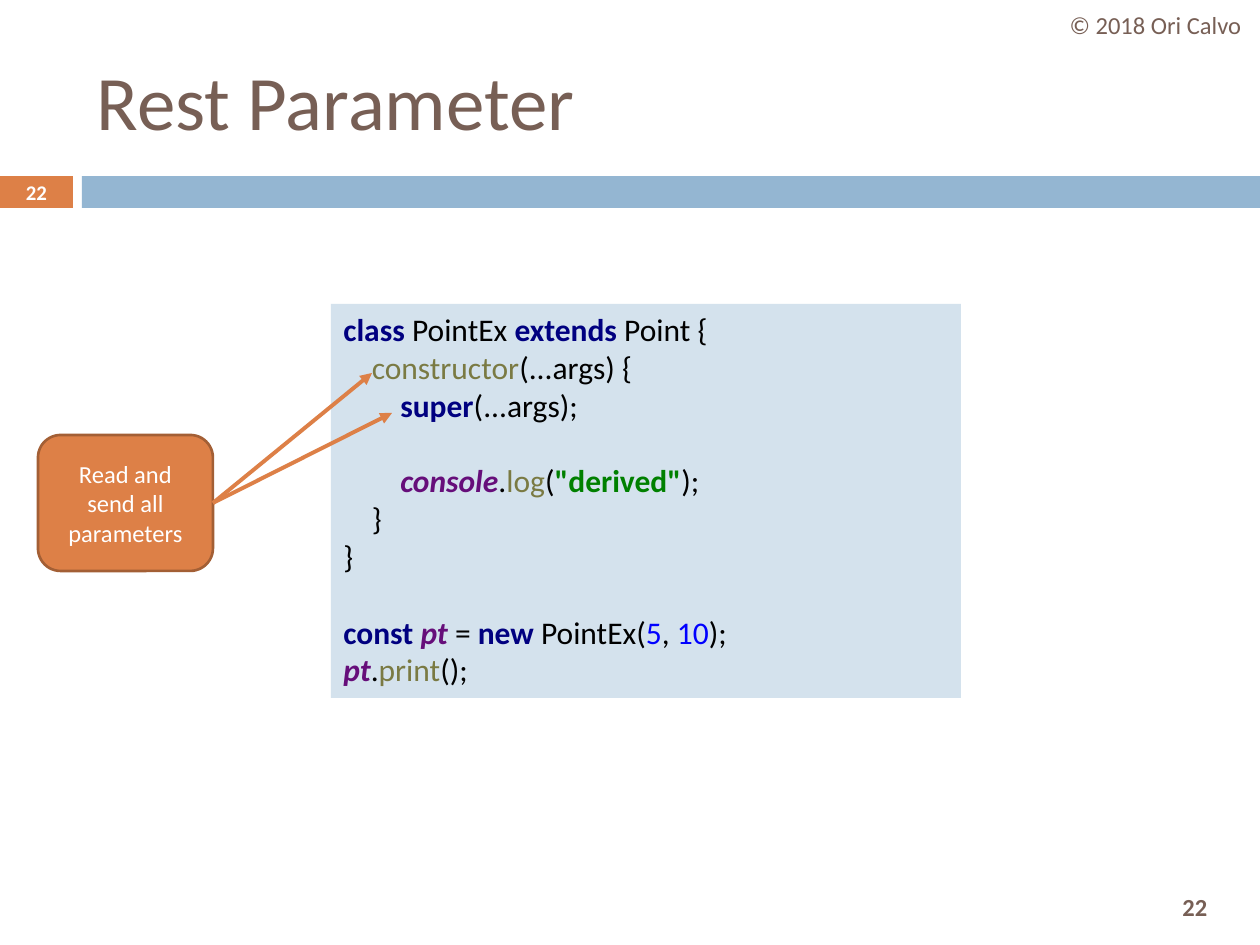
from lxml import etree
from pptx import Presentation
from pptx.dml.color import RGBColor
from pptx.enum.shapes import MSO_CONNECTOR, MSO_SHAPE
from pptx.enum.text import MSO_ANCHOR, PP_ALIGN
from pptx.oxml.ns import qn
from pptx.util import Emu, Pt

PX = 914400 / 126  # EMU in one px

BROWN = RGBColor(0x77, 0x5F, 0x55)
ORANGE = RGBColor(0xDD, 0x80, 0x47)
DARK_ORANGE = RGBColor(0xA3, 0x5F, 0x35)
BLUE = RGBColor(0x94, 0xB6, 0xD2)
PALE_BLUE = RGBColor(0xD4, 0xE2, 0xED)
WHITE = RGBColor(0xFF, 0xFF, 0xFF)
BLACK = RGBColor(0x00, 0x00, 0x00)
NAVY = RGBColor(0x00, 0x00, 0x80)
OLIVE = RGBColor(0x7A, 0x7A, 0x43)
PURPLE = RGBColor(0x66, 0x0E, 0x7A)
GREEN = RGBColor(0x00, 0x80, 0x00)
NUMBER_BLUE = RGBColor(0x00, 0x00, 0xFF)

# Syntax styles: colour, bold, italic
PLAIN = (BLACK, False, False)
KEYWORD = (NAVY, True, False)
FUNCTION = (OLIVE, False, False)
VARIABLE = (PURPLE, True, True)
STRING = (GREEN, True, False)
NUMBER = (NUMBER_BLUE, False, False)

CODE = [
    [("class ", KEYWORD), ("PointEx ", PLAIN), ("extends ", KEYWORD), ("Point {", PLAIN)],
    [("    ", PLAIN), ("constructor", FUNCTION), ("(...args) {", PLAIN)],
    [("        ", PLAIN), ("super", KEYWORD), ("(...args);", PLAIN)],
    [],
    [("        ", PLAIN), ("console", VARIABLE), (".", PLAIN), ("log", FUNCTION),
     ("(", PLAIN), ('"derived"', STRING), (");", PLAIN)],
    [("    }", PLAIN)],
    [("}", PLAIN)],
    [],
    [("const ", KEYWORD), ("pt ", VARIABLE), ("= ", PLAIN), ("new ", KEYWORD),
     ("PointEx(", PLAIN), ("5", NUMBER), (", ", PLAIN), ("10", NUMBER), (");", PLAIN)],
    [("pt", VARIABLE), (".", PLAIN), ("print", FUNCTION), ("();", PLAIN)],
]


def px(*lengths):
    return [Emu(round(length * PX)) for length in lengths]


class SlideBuilder:
    font_name = "Calibri"

    def __init__(self, slide):
        self.slide = slide

    def style_font(self, font, size, color, bold=False, italic=False):
        font.name = self.font_name
        font.size = Pt(size)
        font.color.rgb = color
        font.bold = bold
        font.italic = italic

    def set_text(self, shape, text, size, color, bold=False, align=PP_ALIGN.CENTER):
        frame = shape.text_frame
        frame.word_wrap = True
        frame.vertical_anchor = MSO_ANCHOR.MIDDLE
        frame.text = text
        paragraph = frame.paragraphs[0]
        paragraph.alignment = align
        self.style_font(paragraph.runs[0].font, size, color, bold)

    def title(self, box, text):
        title = self.slide.shapes.title
        title.left, title.top, title.width, title.height = px(*box)
        self.set_text(title, text, 44, BROWN, align=PP_ALIGN.LEFT)

    def label(self, box, text, size, color, bold=False):
        self.set_text(self.slide.shapes.add_textbox(*px(*box)), text, size, color, bold)

    def block(self, box, fill, kind=MSO_SHAPE.RECTANGLE, outline=None):
        block = self.slide.shapes.add_shape(kind, *px(*box))
        block.shadow.inherit = False
        block.fill.solid()
        block.fill.fore_color.rgb = fill
        if outline is None:
            block.line.fill.background()
        else:
            block.line.color.rgb = outline
            block.line.width = Pt(1.5)
        return block

    def callout(self, box, text):
        callout = self.block(box, ORANGE, MSO_SHAPE.ROUNDED_RECTANGLE, DARK_ORANGE)
        self.set_text(callout, text, 14, WHITE)

    def code(self, box, lines):
        frame = self.block(box, PALE_BLUE).text_frame
        frame.word_wrap = True
        frame.vertical_anchor = MSO_ANCHOR.TOP
        paragraph = frame.paragraphs[0]
        paragraph.alignment = PP_ALIGN.LEFT
        for index, line in enumerate(lines):
            if index:
                paragraph.add_line_break()
            for text, style in line:
                run = paragraph.add_run()
                run.text = text
                self.style_font(run.font, 18, *style)

    def arrow(self, start, end):
        arrow = self.slide.shapes.add_connector(MSO_CONNECTOR.STRAIGHT, *px(*start, *end))
        arrow.line.color.rgb = ORANGE
        arrow.line.width = Pt(2.25)
        properties = arrow._element.spPr
        etree.SubElement(properties.find(qn("a:ln")), qn("a:tailEnd"), type="triangle")
        etree.SubElement(properties, qn("a:effectLst"))


def main():
    deck = Presentation()
    deck.slide_width, deck.slide_height = px(1260, 945)
    builder = SlideBuilder(deck.slides.add_slide(deck.slide_layouts[5]))

    # Band below the title
    builder.block((0, 176, 73, 32), ORANGE)
    builder.block((82, 176, 1178, 32), BLUE)

    # Title, copyright and slide numbers
    builder.title((84, 32, 1124, 136), "Rest Parameter")
    builder.label((1051, 0, 209, 50), "© 2018 Ori Calvo", 14, BROWN)
    builder.label((0, 175, 73, 34), "22", 11.9, WHITE, bold=True)
    builder.label((1137, 880, 116, 53), "22", 14, BROWN, bold=True)

    # Code sample with its callout
    builder.code((331, 304, 630, 394), CODE)
    builder.callout((38, 435, 175, 136), "Read and send all parameters")
    for target in ((372, 373), (392, 413)):
        builder.arrow((213, 503), target)

    deck.save("out.pptx")


if __name__ == "__main__":
    main()
